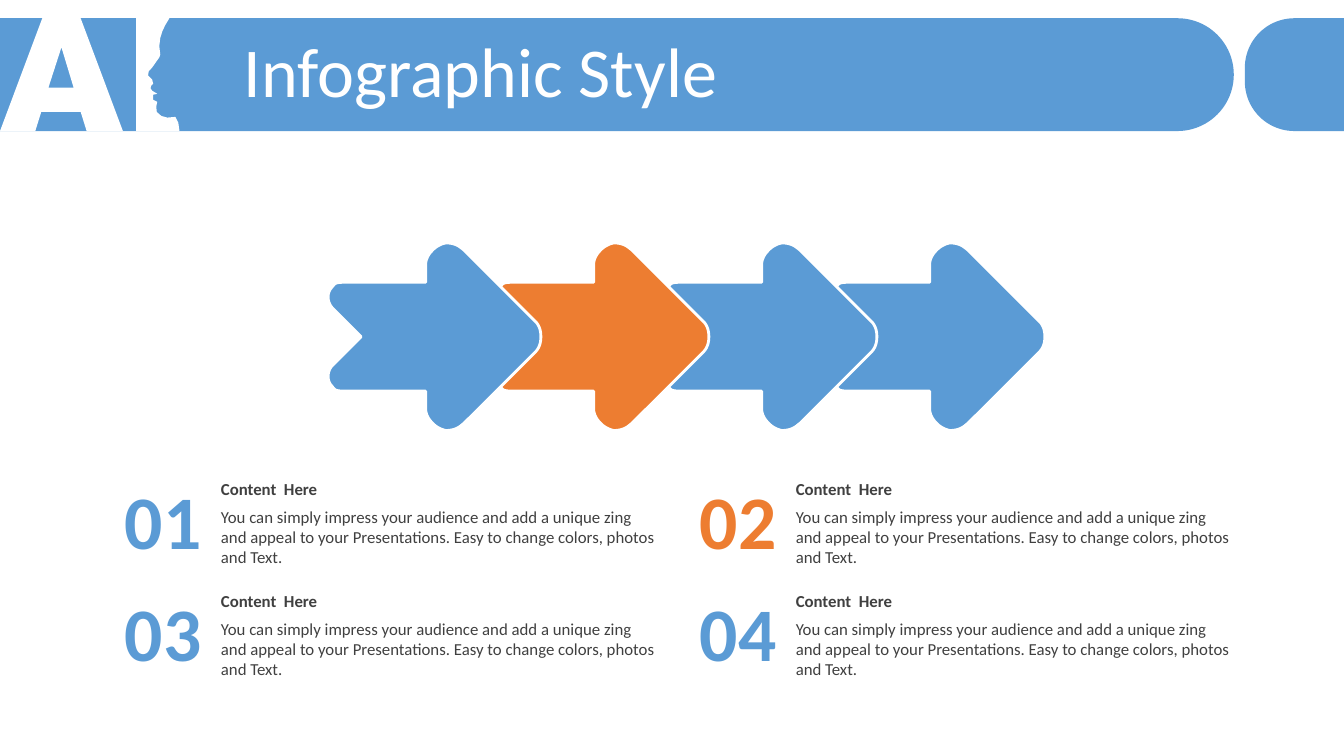
from pptx import Presentation
from pptx.dml.color import RGBColor
from pptx.enum.shapes import MSO_SHAPE
from pptx.enum.text import MSO_ANCHOR, MSO_AUTO_SIZE, PP_ALIGN
from pptx.util import Pt

BLUE, ORANGE, WHITE, GREY = "5B9BD5", "ED7D31", "FFFFFF", "404040"
HEADER_TOP, HEADER_HEIGHT = 13, 80.6
ARROW_STEP, ARROW_LEFT, ARROW_AXIS = 120, 258, 240.5
CURVE_STEPS = 10
BODY = ("You can simply impress your audience and add a unique zing and appeal to your "
        "Presentations. Easy to change colors, photos and Text.")

deck = Presentation()
deck.slide_width, deck.slide_height = Pt(960), Pt(540)
page = deck.slides.add_slide(deck.slide_layouts[6])


def paint(shape, fill, outline=None):
    shape.shadow.inherit = False
    shape.fill.solid()
    shape.fill.fore_color.rgb = RGBColor.from_string(fill)
    if outline:
        shape.line.color.rgb = RGBColor.from_string(outline)
        shape.line.width = Pt(2)
    else:
        shape.line.fill.background()


def add_text(text, place, size, color, margins, anchor, frame_format=None,
             para_format=None, bold=False):
    """Add a one-paragraph text box; margins are left, top, right, bottom."""
    box = page.shapes.add_textbox(*map(Pt, place))
    frame = box.text_frame
    frame.word_wrap = True
    frame.vertical_anchor = anchor
    sides = ("margin_left", "margin_top", "margin_right", "margin_bottom")
    frame_values = dict(zip(sides, map(Pt, margins))) | (frame_format or {})
    para = frame.paragraphs[0]
    span = para.add_run()
    span.text = text
    span.font.color.rgb = RGBColor.from_string(color)
    font_values = {"name": "Calibri", "size": Pt(size), "bold": bold}
    for target, values in ((frame, frame_values), (para, para_format or {}),
                           (span.font, font_values)):
        for name, value in values.items():
            setattr(target, name, value)


# Header bars: upright shapes turned on their side, placed by left edge and length
for left, length, turn in ((0, 881.3, 90), (889.2, 70.8, 270)):
    bar = page.shapes.add_shape(
        MSO_SHAPE.ROUND_2_SAME_RECTANGLE,
        Pt(left + (length - HEADER_HEIGHT) / 2),
        Pt(HEADER_TOP + (HEADER_HEIGHT - length) / 2),
        Pt(HEADER_HEIGHT), Pt(length))
    bar.adjustments[0], bar.adjustments[1] = 0.5, 0
    bar.rotation = turn
    paint(bar, BLUE)

# Letter A with its counter, and the profile beside it
letter = [(30.2, 13), (57.6, 13), (87.8, 93.6), (61.9, 93.6), (57.6, 79.9),
          (29.5, 79.9), (25.2, 93.6), (0, 93.6)]
counter = [(43.9, 33.8), (34.6, 62.6), (52.6, 62.6)]
profile = [(97.2, 13), (121, 13), (118, 18), (116, 22.3), (114.5, 27), (113.8, 33),
           (114.5, 39), (113.8, 41), (108.7, 48.2), (106.2, 51), (105.8, 54),
           (108.7, 56.9), (109.4, 59.8), (108, 61.2), (107.5, 63), (108.7, 64.8),
           (112.3, 67), (109.4, 67.7), (109.4, 71.3), (112.3, 72.7), (111.6, 76.3),
           (112, 80), (115.2, 82.8), (119.5, 84), (125.3, 83.5), (127.4, 87.8),
           (128.2, 93.6), (97.2, 93.6)]
emblem = page.shapes.build_freeform(Pt(letter[0][0]), Pt(letter[0][1]))
emblem.add_line_segments([(Pt(x), Pt(y)) for x, y in letter[1:]])
for contour in (counter, profile):
    emblem.move_to(Pt(contour[0][0]), Pt(contour[0][1]))
    emblem.add_line_segments([(Pt(x), Pt(y)) for x, y in contour[1:]])
paint(emblem.convert_to_shape(), WHITE)

# Upper half of an arrow from notch to tip: one point is a line, three are a curve
half_arrow = [
    [(-20.9, -20.9)],
    [(-24.5, -25.2), (-24.5, -31.7), (-20.9, -35.3)],
    [(-18, -38.9), (-18.7, -38.9), (-6.5, -38.9)],
    [(46.1, -38.9)],
    [(46.1, -51.5)],
    [(46.1, -55.5), (48.2, -59), (51.1, -61.9)],
    [(54, -64.8), (56.9, -66.2), (60.5, -67)],
    [(64.1, -67), (67.7, -66.2), (70.6, -64.1)],
    [(73.4, -61.9)],
    [(124.6, -10.8)],
    [(127.4, -7.9), (128.4, -4), (128.4, 0)],
]
upper = [(0, 0)]
for segment in half_arrow:
    if len(segment) == 1:
        upper += segment
        continue
    corners = [upper[-1], *segment]
    for step in range(1, CURVE_STEPS + 1):
        t = step / CURVE_STEPS
        weights = ((1 - t) ** 3, 3 * t * (1 - t) ** 2, 3 * t * t * (1 - t), t ** 3)
        upper.append(tuple(sum(w * corner[axis] for w, corner in zip(weights, corners))
                           for axis in (0, 1)))
arrow_outline = upper + [(x, -y) for x, y in upper[-2:0:-1]]

for index in reversed(range(4)):
    left = ARROW_LEFT + index * ARROW_STEP
    outline = [(Pt(left + x), Pt(ARROW_AXIS + y)) for x, y in arrow_outline]
    arrow = page.shapes.build_freeform(*outline[0])
    arrow.add_line_segments(outline[1:])
    paint(arrow.convert_to_shape(), ORANGE if index == 1 else BLUE, WHITE)

add_text("Infographic Style", (167, 26.6, 769.7, 56.9), 50, WHITE, (7.2, 3.6, 7.2, 3.6),
         MSO_ANCHOR.MIDDLE, para_format={"line_spacing": 0.8, "space_before": Pt(10)})

grow = {"auto_size": MSO_AUTO_SIZE.SHAPE_TO_FIT_TEXT}
item_margins = (0, 3.6, 7.2, 3.6)
for column in range(2):
    for row in range(2):
        number = 1 + column + 2 * row
        left, top = 76.3 + 410.6 * column, 338.4 + 79.8 * row
        add_text("Content  Here", (left + 81.5, top, 320.4, 21.8), 12, GREY,
                 item_margins, MSO_ANCHOR.MIDDLE, grow, bold=True)
        add_text(BODY, (left + 81.5, top + 20, 320.4, 50.9), 12, GREY,
                 item_margins, MSO_ANCHOR.TOP, grow)
        add_text(f"{number:02}", (left, top, 67.7, 65.5), 54,
                 ORANGE if number == 2 else BLUE, (0, 0, 0, 0), MSO_ANCHOR.MIDDLE,
                 grow, {"alignment": PP_ALIGN.RIGHT}, bold=True)

deck.save("out.pptx")
